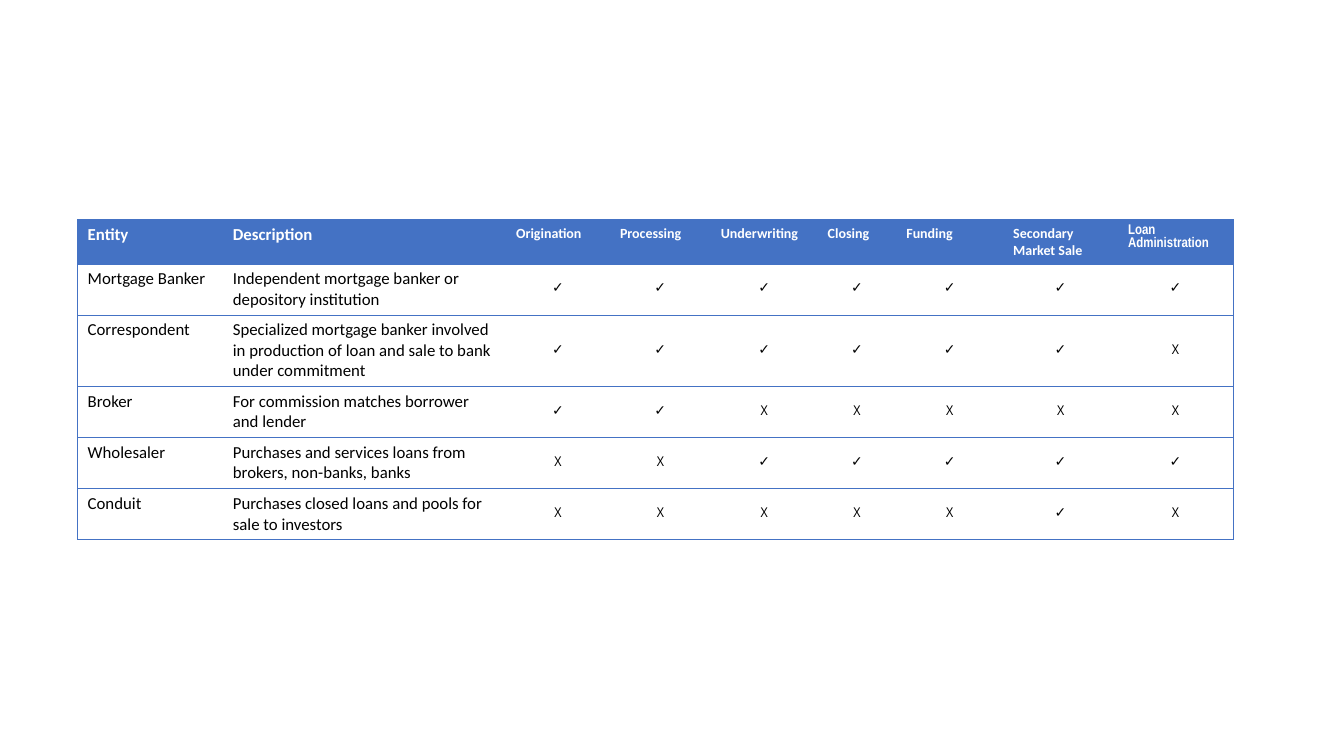
"""Build a slide with a table of mortgage entities and the functions they perform."""
from lxml.etree import SubElement
from pptx import Presentation
from pptx.dml.color import RGBColor
from pptx.enum.text import MSO_ANCHOR, PP_ALIGN
from pptx.oxml.ns import qn
from pptx.util import Inches, Pt

HEADINGS = ["Entity", "Description", "Origination", "Processing", "Underwriting",
            "Closing", "Funding", "Secondary Market Sale", "Loan Administration"]
ENTITIES = [
    ("Mortgage Banker", "Independent mortgage banker or depository institution", "✓✓✓✓✓✓✓"),
    ("Correspondent", "Specialized mortgage banker involved in production of loan "
     "and sale to bank under commitment", "✓✓✓✓✓✓X"),
    ("Broker", "For commission matches borrower and lender", "✓✓XXXXX"),
    ("Wholesaler", "Purchases and services loans from brokers, non-banks, banks", "XX✓✓✓✓✓"),
    ("Conduit", "Purchases closed loans and pools for sale to investors", "XXXXX✓X"),
]
COLUMN_WIDTHS = [1.44, 2.81, 1.03, 1, 1.06, 0.78, 1.06, 1.14, 1.14]
ROW_HEIGHT = 0.41
LEFT, TOP, DRAWN_HEIGHT = 0.77, 2.18, 3.13
BLUE, WHITE, BLACK = "4472C4", "FFFFFF", "000000"
TEXT_COLUMNS = 2


def color(code):
    """Turn a hex string into a colour."""
    return RGBColor.from_string(code)


def draw_borders(cell, sides):
    """Draw thin blue lines on the given sides and none on the others."""
    properties = cell._tc.get_or_add_tcPr()
    for side in "LRTB":
        line = SubElement(properties, qn(f"a:ln{side}"), w=str(Pt(0.5)))
        if side in sides:
            fill = SubElement(line, qn("a:solidFill"))
            SubElement(fill, qn("a:srgbClr"), val=BLUE)
        else:
            SubElement(line, qn("a:noFill"))


def fill_cell(cell, text, row, column):
    """Write and format one cell according to its place in the table."""
    last = len(HEADINGS) - 1
    header, mark = row == 0, row > 0 and column >= TEXT_COLUMNS
    draw_borders(cell, "TB" + "L" * (column == 0) + "R" * (column == last))
    if header:
        cell.fill.solid()
        cell.fill.fore_color.rgb = color(BLUE)
    else:
        cell.fill.background()
    cell.text_frame.text = text
    paragraph = cell.text_frame.paragraphs[0]
    if mark:
        cell.vertical_anchor = MSO_ANCHOR.MIDDLE
        paragraph.alignment = PP_ALIGN.CENTER
    font = paragraph.runs[0].font
    font.name = "Arial Narrow" if mark or (header and column == last) else "Calibri"
    font.size = Pt(12 if column < TEXT_COLUMNS else 10)
    font.bold = header
    font.color.rgb = color(WHITE if header else BLACK)


def main():
    """Create the presentation and save it."""
    deck = Presentation()
    deck.slide_width, deck.slide_height = Inches(13.33), Inches(7.5)
    slide = deck.slides.add_slide(deck.slide_layouts[6])
    rows = [HEADINGS] + [[name, description, *marks] for name, description, marks in ENTITIES]
    frame = slide.shapes.add_table(
        len(rows), len(HEADINGS), Inches(LEFT), Inches(TOP),
        Inches(sum(COLUMN_WIDTHS)), Inches(ROW_HEIGHT * len(rows)))
    table = frame.table
    table.horz_banding = False
    for column, width in zip(table.columns, COLUMN_WIDTHS):
        column.width = Inches(width)
    for r, texts in enumerate(rows):
        for c, text in enumerate(texts):
            fill_cell(table.cell(r, c), text, r, c)
    frame.height = Inches(DRAWN_HEIGHT)
    deck.save("out.pptx")


if __name__ == "__main__":
    main()
